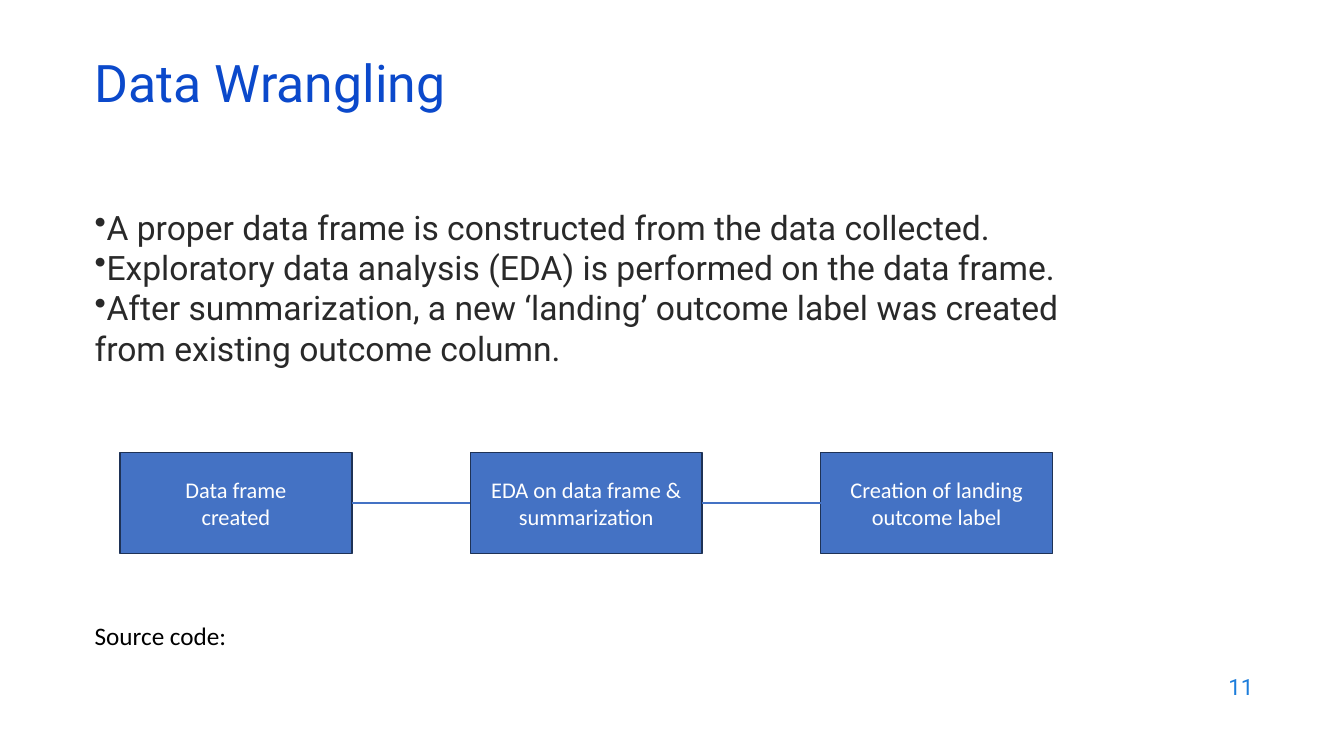
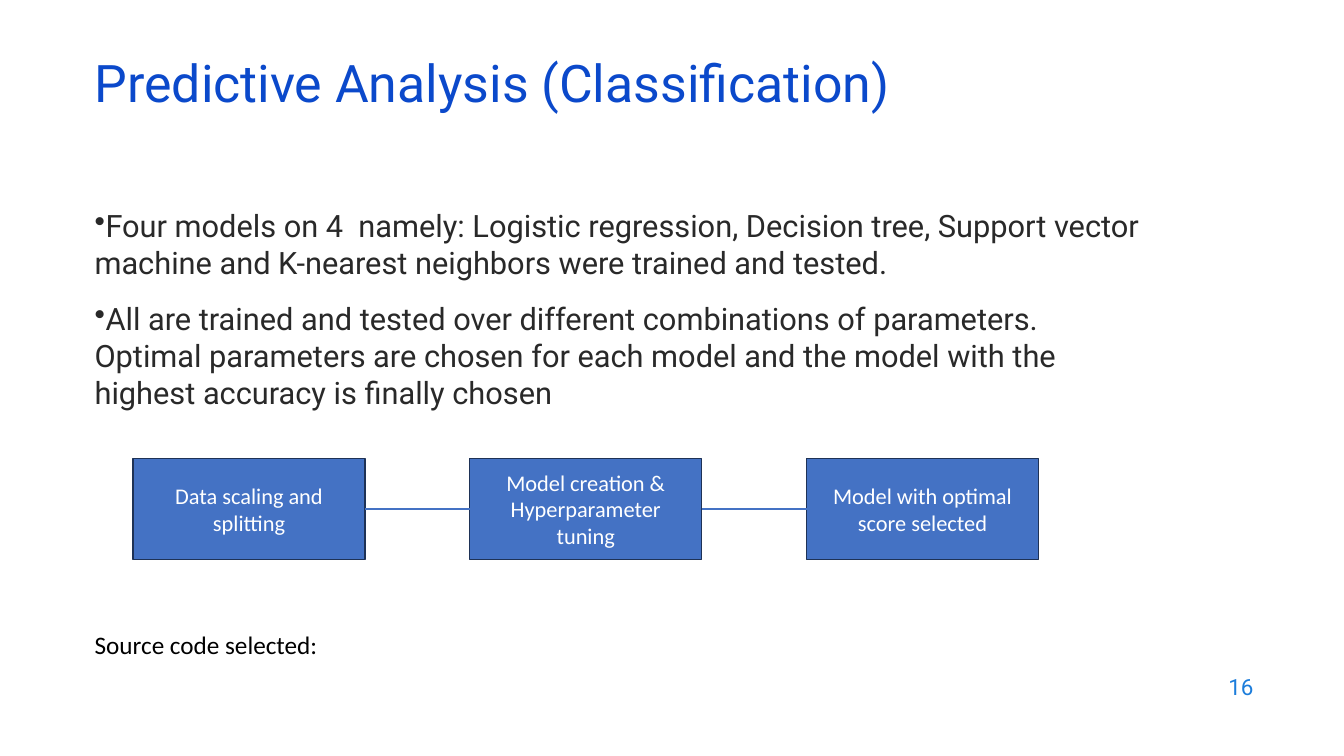
"""Build two project method slides, each with bullets and a three-step flow."""
from itertools import pairwise

from lxml import etree
from pptx import Presentation
from pptx import util as u
from pptx.dml.color import RGBColor
from pptx.enum import shapes, text
from pptx.oxml import ns

TITLE_BLUE = RGBColor(0x0B, 0x49, 0xCB)
NUMBER_BLUE = RGBColor(0x1C, 0x7D, 0xDB)
BODY_GREY = RGBColor(0x29, 0x29, 0x29)
STEP_FILL = RGBColor(0x44, 0x72, 0xC4)
STEP_EDGE = RGBColor(0x1E, 0x32, 0x56)
WHITE = RGBColor(0xFF, 0xFF, 0xFF)
BLACK = RGBColor(0x00, 0x00, 0x00)

LEFT = 0.84
STEP_WIDTH, STEP_HEIGHT = 2.3, 1
TITLE_ONLY = 5

TITLE_FORMAT = {"name": "Roboto", "size": u.Pt(37), "color": TITLE_BLUE}
NUMBER_FORMAT = {"name": "Roboto", "size": u.Pt(16), "color": NUMBER_BLUE}
BODY_FORMAT = {"name": "Roboto", "color": BODY_GREY}
STEP_FORMAT = {"name": "Calibri", "size": u.Pt(16), "color": WHITE}
SOURCE_FORMAT = {"name": "Calibri", "size": u.Pt(18), "color": BLACK}

SLIDES = [
    {
        "title": "Data Wrangling",
        "number": "11",
        "bullets": [
            "A proper data frame is constructed from the data collected.",
            "Exploratory data analysis (EDA) is performed on the data frame.",
            "After summarization, a new ‘landing’ outcome label was created "
            "from existing outcome column.",
        ],
        "body": {"width": 9.82, "size": 24, "gap": 0},
        "steps": [
            "Data frame\ncreated",
            "EDA on data frame & summarization",
            "Creation of landing outcome label",
        ],
        "flow": {"first": 1.19, "last": 8.14, "top": 4.49},
        "source": "Source code:",
        "source_top": 6.1,
    },
    {
        "title": "Predictive Analysis (Classification)",
        "number": "16",
        "bullets": [
            "Four models on 4  namely: Logistic regression, Decision tree, "
            "Support vector machine and K-nearest neighbors were trained and tested.",
            "All are trained and tested over different combinations of parameters. "
            "Optimal parameters are chosen for each model and the model with the "
            "highest accuracy is finally chosen",
        ],
        "body": {"width": 10.66, "size": 22, "gap": 14},
        "steps": [
            "Data scaling and splitting",
            "Model creation & Hyperparameter tuning",
            "Model with optimal score selected",
        ],
        "flow": {"first": 1.32, "last": 8, "top": 4.55},
        "source": "Source code selected:",
        "source_top": 6.19,
    },
]


def format_font(font, values):
    """Apply a dict of font values, with the colour under "color"."""
    for key, value in values.items():
        if key == "color":
            font.color.rgb = value
        else:
            setattr(font, key, value)


def write_text(box, content, font_values, **para_values):
    """Write content into a shape, one paragraph a line, in one format."""
    frame = box.text_frame
    frame.word_wrap = True
    frame.text = content
    for para in frame.paragraphs:
        for key, value in para_values.items():
            setattr(para, key, value)
        for span in para.runs:
            format_font(span.font, font_values)
    return frame


def add_text(page, at, content, font_values, **para_values):
    """Add a text box at left, top, width and height in inches."""
    box = page.shapes.add_textbox(*map(u.Inches, at))
    return write_text(box, content, font_values, **para_values)


def set_title(page, content):
    """Place and format the title placeholder."""
    title = page.shapes.title
    title.left, title.top = u.Inches(LEFT), u.Inches(0.59)
    title.width, title.height = u.Inches(11.5), u.Inches(0.6)
    frame = write_text(title, content, TITLE_FORMAT,
                       alignment=text.PP_ALIGN.LEFT, line_spacing=0.7)
    frame.auto_size = text.MSO_AUTO_SIZE.NONE
    frame.vertical_anchor = text.MSO_ANCHOR.MIDDLE


def add_bullets(page, bullets, width, size, gap):
    """Add bulleted paragraphs whose lines all start at the left edge."""
    frame = add_text(page, (LEFT, 2, width, 4.76), "\n".join(bullets),
                     BODY_FORMAT | {"size": u.Pt(size)})
    for index, para in enumerate(frame.paragraphs):
        properties = para._p.get_or_add_pPr()
        properties.set("marL", "0")
        properties.set("indent", "0")
        etree.SubElement(properties, ns.qn("a:buChar"), char="•")
        para.space_before = u.Pt(gap if index else 0)


def add_step(page, left, top, label):
    """Add one filled rectangle of the flow."""
    step = page.shapes.add_shape(
        shapes.MSO_SHAPE.RECTANGLE,
        *map(u.Inches, (left, top, STEP_WIDTH, STEP_HEIGHT)))
    step.shadow.inherit = False
    step.fill.solid()
    step.fill.fore_color.rgb = STEP_FILL
    step.line.color.rgb = STEP_EDGE
    step.line.width = u.Pt(1)
    frame = write_text(step, label, STEP_FORMAT, alignment=text.PP_ALIGN.CENTER)
    frame.vertical_anchor = text.MSO_ANCHOR.MIDDLE
    return step


def join_steps(page, start, end):
    """Join the right side of one step to the left side of the next."""
    line = page.shapes.add_connector(shapes.MSO_CONNECTOR.STRAIGHT, 0, 0, 0, 0)
    line.begin_connect(start, 3)
    line.end_connect(end, 1)
    line.line.color.rgb = STEP_FILL
    line.line.width = u.Pt(2)
    etree.SubElement(line._element.spPr, ns.qn("a:effectLst"))


def add_flow(page, labels, first, last, top):
    """Spread the steps evenly between two left edges and join them."""
    pitch = (last - first) / (len(labels) - 1)
    steps = [add_step(page, first + index * pitch, top, label)
             for index, label in enumerate(labels)]
    for start, end in pairwise(steps):
        join_steps(page, start, end)


def add_page(deck, content):
    """Add one slide from its content."""
    page = deck.slides.add_slide(deck.slide_layouts[TITLE_ONLY])
    set_title(page, content["title"])
    add_bullets(page, content["bullets"], **content["body"])
    add_flow(page, content["steps"], **content["flow"])
    add_text(page, (LEFT, content["source_top"], 6.32, 0.4),
             content["source"], SOURCE_FORMAT)
    number = add_text(page, (9.53, 6.59, 3, 0.44), content["number"],
                      NUMBER_FORMAT, alignment=text.PP_ALIGN.RIGHT)
    number.vertical_anchor = text.MSO_ANCHOR.MIDDLE


def main():
    """Build and save the deck."""
    deck = Presentation()
    deck.slide_width, deck.slide_height = u.Inches(13.33), u.Inches(7.5)
    for content in SLIDES:
        add_page(deck, content)
    deck.save("out.pptx")


if __name__ == "__main__":
    main()
